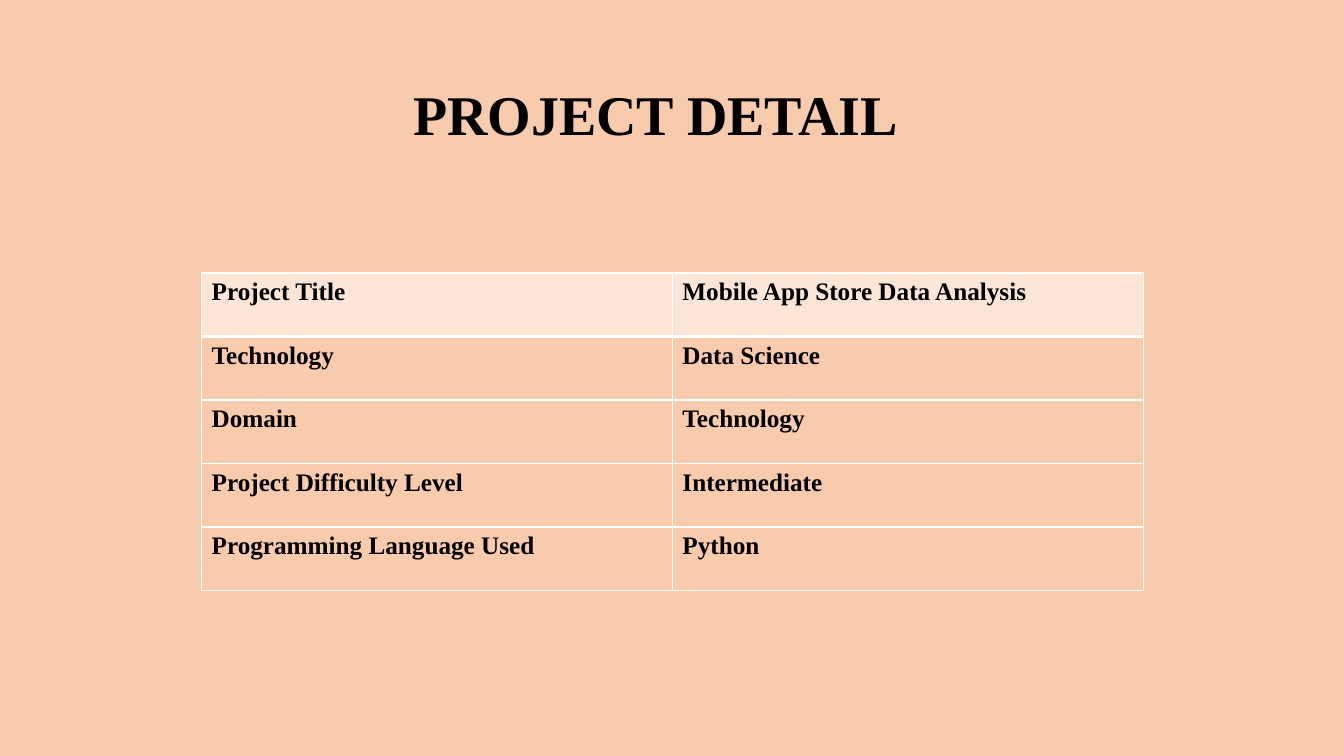
from lxml import etree
from pptx import Presentation
from pptx.dml.color import RGBColor
from pptx.enum.shapes import MSO_SHAPE
from pptx.enum.text import MSO_ANCHOR, PP_ALIGN
from pptx.oxml.ns import qn
from pptx.util import Pt

RECT = MSO_SHAPE.RECTANGLE
TOP = MSO_ANCHOR.TOP
LEFT = PP_ALIGN.LEFT

TITLE = "PROJECT DETAIL"
ROWS = [
    ("Project Title", "Mobile App Store Data Analysis"),
    ("Technology", "Data Science"),
    ("Domain", "Technology"),
    ("Project Difficulty Level", "Intermediate"),
    ("Programming Language Used", "Python"),
]

THEME = {
    "font": "Times New Roman",
    "ink": "000000",
    "back": "F8CBAD",
    "head": "FBE5D6",
    "line": "FFFFFF",
    "title": 40,
    "body": 18,
}
WIDE, HIGH = 960, 540
TITLE_X, TITLE_Y = 295.2, 56.5
GRID_X, GRID_Y = 144, 195
COL_W, ROW_H = 336.3, 45.36
THIN, THICK = 1, 3


def paint(item, color):
    item.fill.solid()
    item.fill.fore_color.rgb = RGBColor.from_string(color)


def write(frame, text, size):
    frame.text = text
    para = frame.paragraphs[0]
    para.alignment = LEFT
    font = para.runs[0].font
    font.name = THEME["font"]
    font.size = Pt(size)
    font.bold = True
    font.color.rgb = RGBColor.from_string(THEME["ink"])


def edge(cell, widths):
    """Draw the cell's borders; widths are left, right, top, bottom."""
    props = cell._tc.get_or_add_tcPr()
    for spot, (side, width) in enumerate(zip("LRTB", widths)):
        line = etree.Element(qn(f"a:ln{side}"), w=str(Pt(width)))
        fill = etree.SubElement(line, qn("a:solidFill"))
        etree.SubElement(fill, qn("a:srgbClr"), val=THEME["line"])
        props.insert(spot, line)


def add_title(slide):
    panel = slide.shapes.add_shape(RECT, 0, 0, Pt(WIDE), Pt(HIGH))
    panel.shadow.inherit = False
    panel.line.fill.background()
    paint(panel, THEME["back"])
    frame = panel.text_frame
    frame.word_wrap = True
    frame.vertical_anchor = TOP
    frame.margin_left, frame.margin_top = Pt(TITLE_X), Pt(TITLE_Y)
    write(frame, TITLE, THEME["title"])


def add_grid(slide):
    rows, cols = len(ROWS), len(ROWS[0])
    table = slide.shapes.add_table(
        rows, cols, Pt(GRID_X), Pt(GRID_Y), Pt(COL_W * cols), Pt(ROW_H * rows)
    ).table
    table.horz_banding = False
    for col in table.columns:
        col.width = Pt(COL_W)
    for r, texts in enumerate(ROWS):
        table.rows[r].height = Pt(ROW_H)
        above = THICK if r == 1 else THIN
        below = THICK if r == 0 else THIN
        for c, text in enumerate(texts):
            cell = table.cell(r, c)
            paint(cell, THEME["back" if r else "head"])
            edge(cell, (THIN, THIN, above, below))
            write(cell.text_frame, text, THEME["body"])


def main():
    deck = Presentation()
    deck.slide_width, deck.slide_height = Pt(WIDE), Pt(HIGH)
    slide = deck.slides.add_slide(deck.slide_layouts[6])
    add_title(slide)
    add_grid(slide)
    deck.save("out.pptx")


if __name__ == "__main__":
    main()
